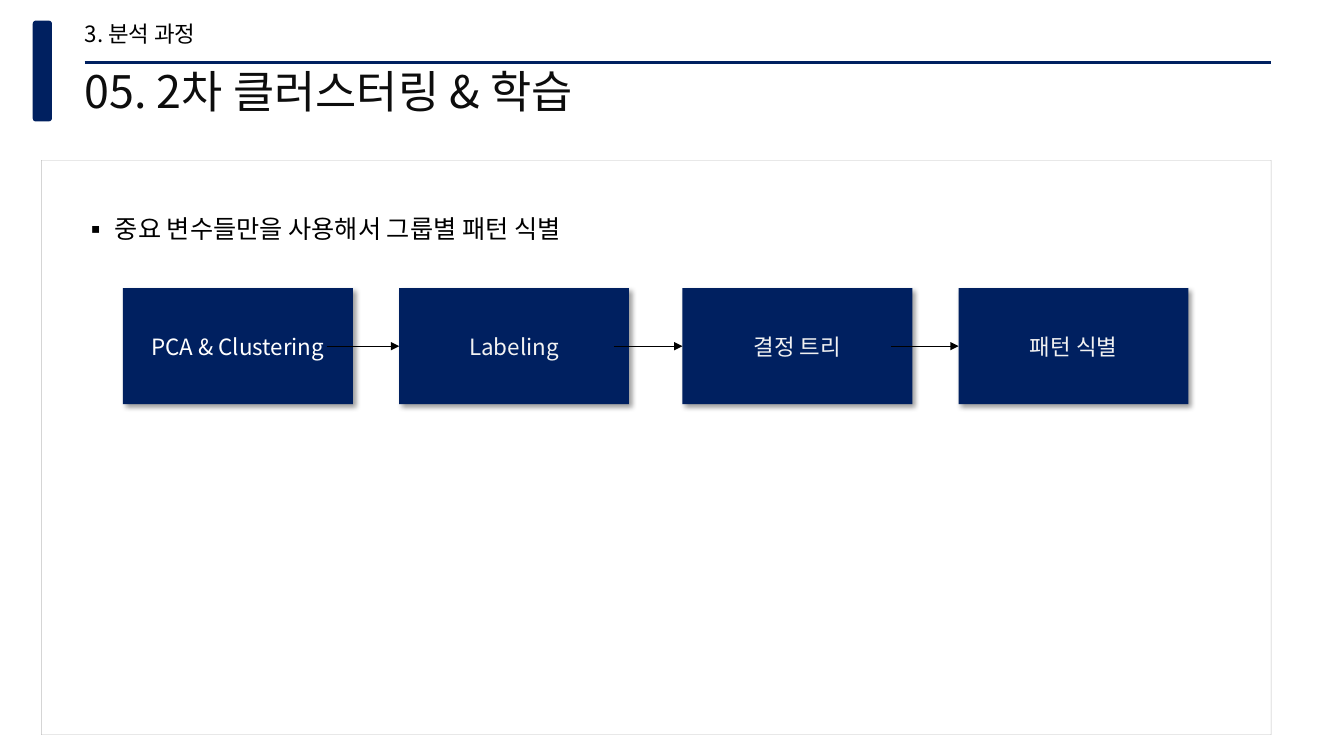
from dataclasses import dataclass

from lxml.etree import SubElement
from pptx import Presentation
from pptx.dml.color import RGBColor
from pptx.enum.shapes import MSO_CONNECTOR, MSO_SHAPE
from pptx.enum.text import MSO_ANCHOR, MSO_AUTO_SIZE, PP_ALIGN
from pptx.oxml.ns import qn
from pptx.util import Inches, Pt


@dataclass(frozen=True)
class Theme:
    font: str = "Noto Sans CJK KR"
    navy: str = "002060"
    black: str = "000000"
    title: str = "0D0D0D"
    white: str = "FFFFFF"
    pale: str = "F2F2F2"
    border: str = "595959"
    small_size: int = 16
    body_size: int = 18
    title_size: int = 32
    tight_spacing: float = 0.82


@dataclass(frozen=True)
class Area:
    """Position and size as percentages of the slide."""
    left: float
    top: float
    width: float
    height: float


@dataclass(frozen=True)
class Step:
    label: str
    left: float
    color: str
    arrow_start: float | None = None  # arrow that leads into this step


THEME = Theme()
WIDTH, HEIGHT = Inches(13.333), Inches(7.5)
STEP_TOP, STEP_WIDTH, STEP_HEIGHT = 38.13, 17.1, 15.33
STEPS = (
    Step("PCA & Clustering", 9.15, THEME.white),
    Step("Labeling", 29.7, THEME.pale, 24.3),
    Step("결정 트리", 50.78, THEME.pale, 45.68),
    Step("패턴 식별", 71.33, THEME.pale, 66.3),
)


def across(percent: float) -> int:
    return round(WIDTH * percent / 100)


def down(percent: float) -> int:
    return round(HEIGHT * percent / 100)


def bounds(area: Area) -> tuple:
    return across(area.left), down(area.top), across(area.width), down(area.height)


def apply(target, values: dict) -> None:
    for name, value in values.items():
        setattr(target, name, value)


def place(shape, area: Area) -> None:
    apply(shape, dict(zip(("left", "top", "width", "height"), bounds(area))))


def write(shape, text: str, size: int, color: str, frame_format: dict,
          paragraph_format: dict):
    frame = shape.text_frame
    apply(frame, {"word_wrap": True, "auto_size": MSO_AUTO_SIZE.NONE, **frame_format})
    paragraph = frame.paragraphs[0]
    apply(paragraph, {"space_before": Pt(0), **paragraph_format})
    run = paragraph.add_run()
    run.text = text
    apply(run.font, {"name": THEME.font, "size": Pt(size), "bold": False})
    run.font.color.rgb = RGBColor.from_string(color)
    SubElement(run.font._element, qn("a:ea"), typeface=THEME.font)
    return paragraph


def add_block(slide, kind, area: Area, fill: str | None):
    shape = slide.shapes.add_shape(kind, *bounds(area))
    shape.shadow.inherit = False
    if fill:
        shape.fill.solid()
        shape.fill.fore_color.rgb = RGBColor.from_string(fill)
        shape.line.fill.background()
    else:
        shape.fill.background()
    return shape


def add_line(slide, start: float, end: float, row: float, color: str, width: float):
    line = slide.shapes.add_connector(
        MSO_CONNECTOR.STRAIGHT, across(start), down(row), across(end), down(row))
    line.line.color.rgb = RGBColor.from_string(color)
    line.line.width = Pt(width)
    SubElement(line._element.spPr, qn("a:effectLst"))
    return line


def add_shadow(shape) -> None:
    effects = shape._element.spPr.find(qn("a:effectLst"))
    shadow = SubElement(effects, qn("a:outerShdw"), blurRad=str(Pt(4)), dist=str(Pt(3)),
                        dir="2700000", algn="tl", rotWithShape="0")
    color = SubElement(shadow, qn("a:srgbClr"), val=THEME.black)
    SubElement(color, qn("a:alpha"), val="40000")


def add_frame(slide) -> None:
    panel = add_block(slide, MSO_SHAPE.RECTANGLE, Area(3.08, 21.2, 91.5, 76), None)
    panel.line.color.rgb = RGBColor.from_string(THEME.border)
    panel.line.width = Pt(0.25)
    border_color = panel.line._ln.find(".//" + qn("a:srgbClr"))
    SubElement(border_color, qn("a:alpha"), val="39000")
    bar = add_block(slide, MSO_SHAPE.ROUNDED_RECTANGLE,
                    Area(2.44, 2.73, 1.43, 13.33), THEME.navy)
    bar.adjustments[0] = 0.156
    add_line(slide, 6.3, 94.58, 8.27, THEME.navy, 2.25)


def add_texts(slide) -> None:
    flush = {"margin_left": 0, "margin_right": 0, "margin_top": 0, "margin_bottom": 0,
             "vertical_anchor": MSO_ANCHOR.TOP}
    left = {"alignment": PP_ALIGN.LEFT, "line_spacing": THEME.tight_spacing}

    section = slide.shapes.add_textbox(*bounds(Area(6.3, 3.33, 27.75, 3.6)))
    write(section, "3. 분석 과정", THEME.small_size, THEME.black, flush, left)

    title = slide.shapes.title
    place(title, Area(6.3, 9.73, 46.88, 7.2))
    write(title, "05. 2차 클러스터링 & 학습", THEME.title_size, THEME.title, flush, left)

    body = slide.placeholders[1]
    place(body, Area(5.48, 28.27, 37.43, 9.33))
    paragraph = write(body, "중요 변수들만을 사용해서 그룹별 패턴 식별", THEME.body_size,
                      THEME.black, {"vertical_anchor": MSO_ANCHOR.TOP}, left)
    properties = paragraph._p.get_or_add_pPr()
    properties.set("marL", str(Inches(0.31)))
    properties.set("indent", str(Inches(-0.31)))
    SubElement(properties, qn("a:buFont"), typeface=THEME.font)
    SubElement(properties, qn("a:buChar"), char="▪")


def add_steps(slide) -> None:
    for step in STEPS:
        box = add_block(slide, MSO_SHAPE.RECTANGLE,
                        Area(step.left, STEP_TOP, STEP_WIDTH, STEP_HEIGHT), THEME.navy)
        add_shadow(box)
        write(box, step.label, THEME.small_size, step.color,
              {"vertical_anchor": MSO_ANCHOR.MIDDLE}, {"alignment": PP_ALIGN.CENTER})

    # Arrows lie above the boxes
    for step in STEPS:
        if step.arrow_start is not None:
            arrow = add_line(slide, step.arrow_start, step.left,
                             STEP_TOP + STEP_HEIGHT / 2, THEME.black, 0.5)
            SubElement(arrow.line._ln, qn("a:tailEnd"), type="triangle")


def main() -> None:
    presentation = Presentation()
    apply(presentation, {"slide_width": WIDTH, "slide_height": HEIGHT})
    slide = presentation.slides.add_slide(presentation.slide_layouts[1])
    add_frame(slide)
    add_texts(slide)
    add_steps(slide)
    presentation.save("out.pptx")


if __name__ == "__main__":
    main()
